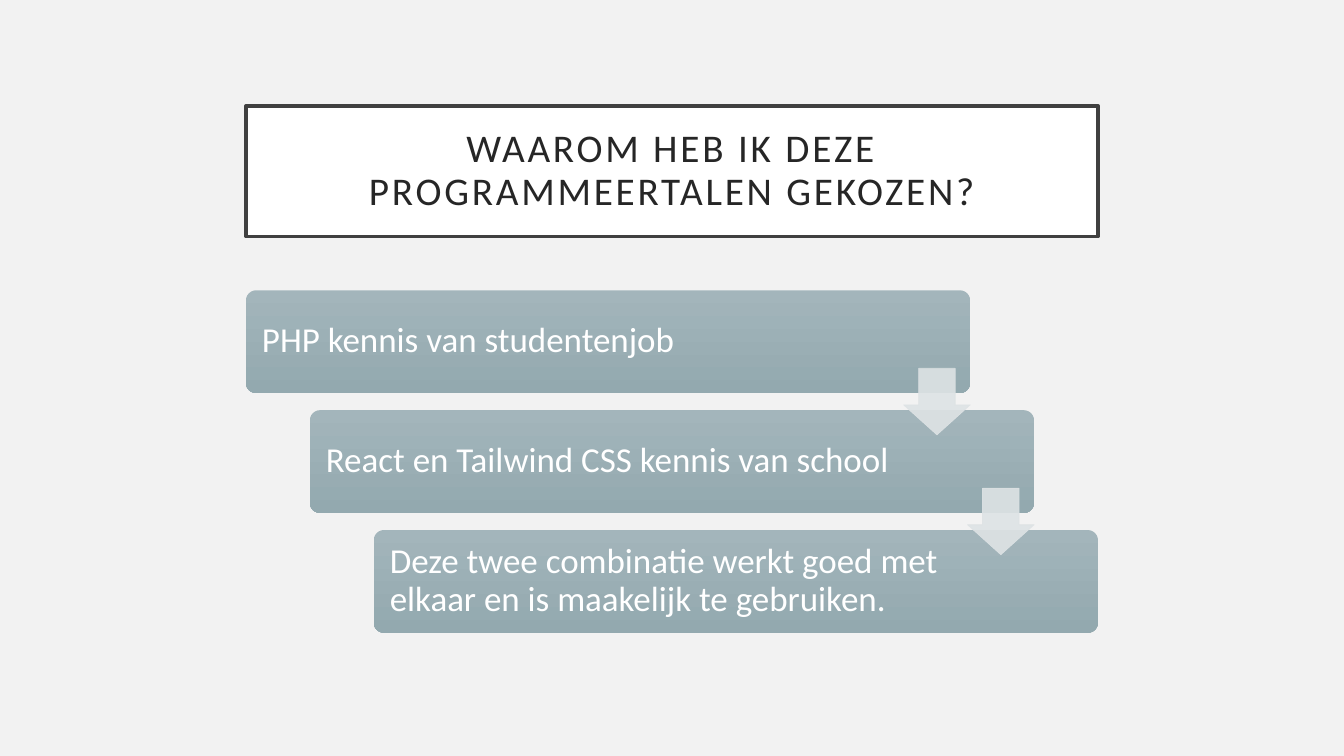
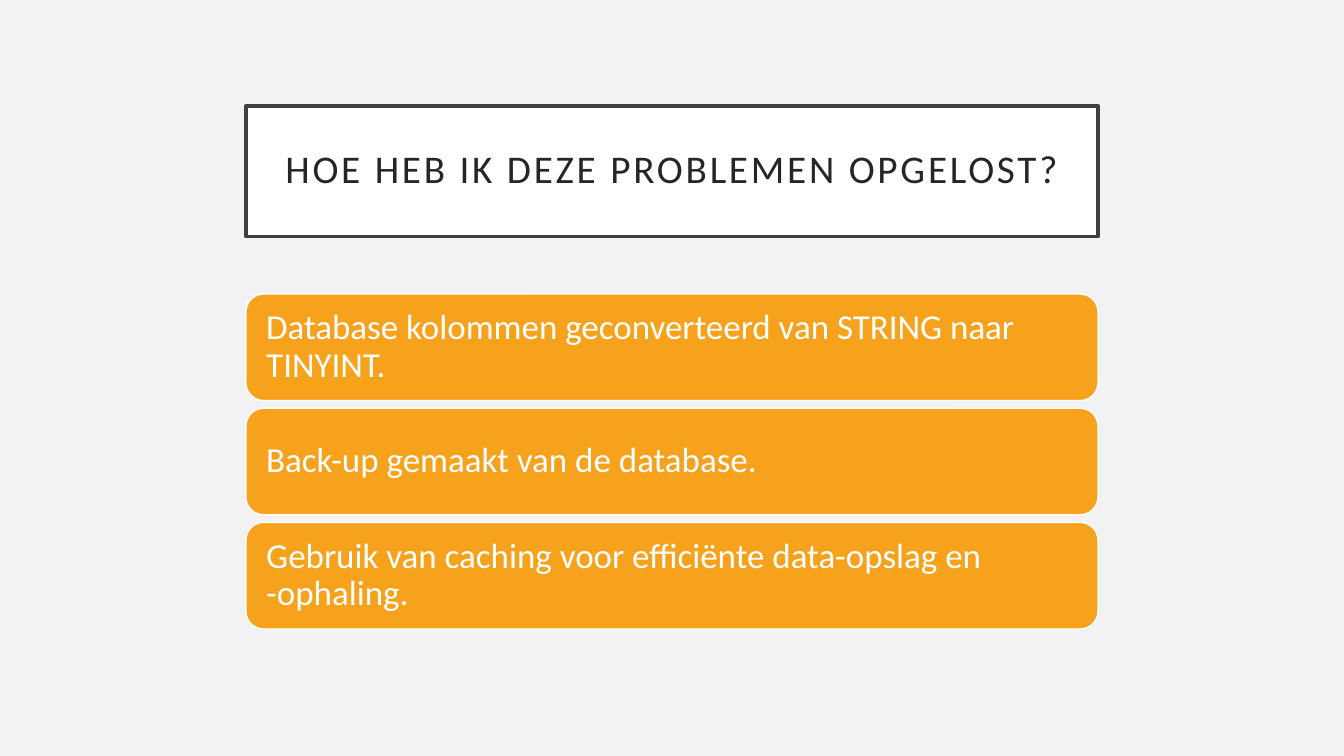
import dataclasses

import lxml.etree
import pptx
import pptx.dml.color
import pptx.enum.shapes
import pptx.enum.text
import pptx.oxml.ns
import pptx.util

Pt = pptx.util.Pt
Inches = pptx.util.Inches
Kind = pptx.enum.shapes.MSO_SHAPE
Align = pptx.enum.text.PP_ALIGN
Anchor = pptx.enum.text.MSO_ANCHOR


@dataclasses.dataclass(frozen=True)
class Theme:
    back: str = "F2F2F2"
    white: str = "FFFFFF"
    frame: str = "404040"
    ink: str = "262626"
    step: tuple = ("A3B5BB", "93A9AF")
    arrow: str = "DEE3E5"
    panel: str = "F6A21D"
    font: str = "Calibri"
    head: int = 28
    body: int = 25
    track: int = 200
    alpha: int = 90000


THEME = Theme()
WIDE, HIGH = Inches(13.33), Inches(7.5)
LEFT, SPAN = 0.183 * WIDE, 0.634 * WIDE


def tint(code):
    return pptx.dml.color.RGBColor.from_string(code)


def style(item, form):
    for name, value in form.items():
        setattr(item, name, value)


def paint(shape, fill, edge=None, weight=0):
    if isinstance(fill, tuple):
        shape.fill.gradient()
        shape.fill.gradient_angle = 270
        for stop, code in zip(shape.fill.gradient_stops, fill):
            stop.color.rgb = tint(code)
    else:
        shape.fill.solid()
        shape.fill.fore_color.rgb = tint(fill)
    if edge:
        shape.line.color.rgb = tint(edge)
        shape.line.width = Pt(weight)
    else:
        shape.line.fill.background()


def block(slide, kind, box, look, bends=()):
    shape = slide.shapes.add_shape(kind, *map(round, box))
    shape.shadow.inherit = False
    for i, bend in enumerate(bends):
        shape.adjustments[i] = bend
    paint(shape, *look)
    return shape


def write(shape, text, size, color, align, sides, ends):
    frame = shape.text_frame
    style(frame, {
        "word_wrap": True, "vertical_anchor": Anchor.MIDDLE,
        "margin_left": Inches(sides[0]), "margin_right": Inches(sides[1]),
        "margin_top": Inches(ends), "margin_bottom": Inches(ends),
    })
    para = frame.paragraphs[0]
    style(para, {"alignment": align, "line_spacing": 0.9})
    run = para.add_run()
    run.text = text
    style(run.font, {"name": THEME.font, "size": Pt(size)})
    run.font.color.rgb = tint(color)
    return run


def title(slide, text):
    box = (LEFT, 0.14 * HIGH, SPAN, 0.173 * HIGH)
    shape = block(slide, Kind.RECTANGLE, box, (THEME.white, THEME.frame, 2.5))
    run = write(shape, text, THEME.head, THEME.ink, Align.CENTER, (0.2, 0.2), 0.2)
    run._r.get_or_add_rPr().set("spc", str(THEME.track))


def label(shape, text, sides):
    write(shape, text, THEME.body, THEME.white, Align.LEFT, sides, 0.1)


def arrow(slide, right, middle):
    size = 0.088 * HIGH
    box = (right - size, middle - size / 2, size, size)
    look = (THEME.arrow, THEME.arrow, 0.5)
    shape = block(slide, Kind.DOWN_ARROW, box, look, (0.55, 0.45))
    tag = pptx.oxml.ns.qn("a:alpha")
    for color in shape._element.spPr.iter(pptx.oxml.ns.qn("a:srgbClr")):
        lxml.etree.SubElement(color, tag).set("val", str(THEME.alpha))


def stairs(slide, texts):
    top, area = 0.384 * HIGH, 0.453 * HIGH
    wide, high = 0.85 * SPAN, 0.3 * area
    shift = (SPAN - wide) / (len(texts) - 1)
    pitch = (area - high) / (len(texts) - 1)
    for i, text in enumerate(texts):
        box = (LEFT + i * shift, top + i * pitch, wide, high)
        shape = block(slide, Kind.ROUNDED_RECTANGLE, box, (THEME.step,), (0.1,))
        label(shape, text, (0.13, 1.4))
    for i in range(len(texts) - 1):
        arrow(slide, LEFT + wide + i * shift, top + i * pitch + (high + pitch) / 2)


def panels(slide, texts):
    top, high, gap = 0.389 * HIGH, 0.141 * HIGH, 0.01 * HIGH
    for i, text in enumerate(texts):
        box = (LEFT, top + i * (high + gap), SPAN, high)
        look = (THEME.panel, THEME.white, 1)
        label(block(slide, Kind.ROUNDED_RECTANGLE, box, look), text, (0.15, 0.15))


def main():
    deck = pptx.Presentation()
    style(deck, {"slide_width": WIDE, "slide_height": HIGH})
    back = deck.slide_master.background.fill
    back.solid()
    back.fore_color.rgb = tint(THEME.back)
    pages = (
        ("WAAROM HEB IK DEZE PROGRAMMEERTALEN GEKOZEN?", stairs, (
            "PHP kennis van studentenjob",
            "React en Tailwind CSS kennis van school",
            "Deze twee combinatie werkt goed met elkaar en is maakelijk te gebruiken.",
        )),
        ("HOE HEB IK DEZE PROBLEMEN OPGELOST?", panels, (
            "Database kolommen geconverteerd van STRING naar TINYINT.",
            "Back-up gemaakt van de database.",
            "Gebruik van caching voor efficiënte data-opslag en -ophaling.",
        )),
    )
    for head, draw, texts in pages:
        slide = deck.slides.add_slide(deck.slide_layouts[6])
        title(slide, head)
        draw(slide, texts)
    deck.save("out.pptx")


if __name__ == "__main__":
    main()
